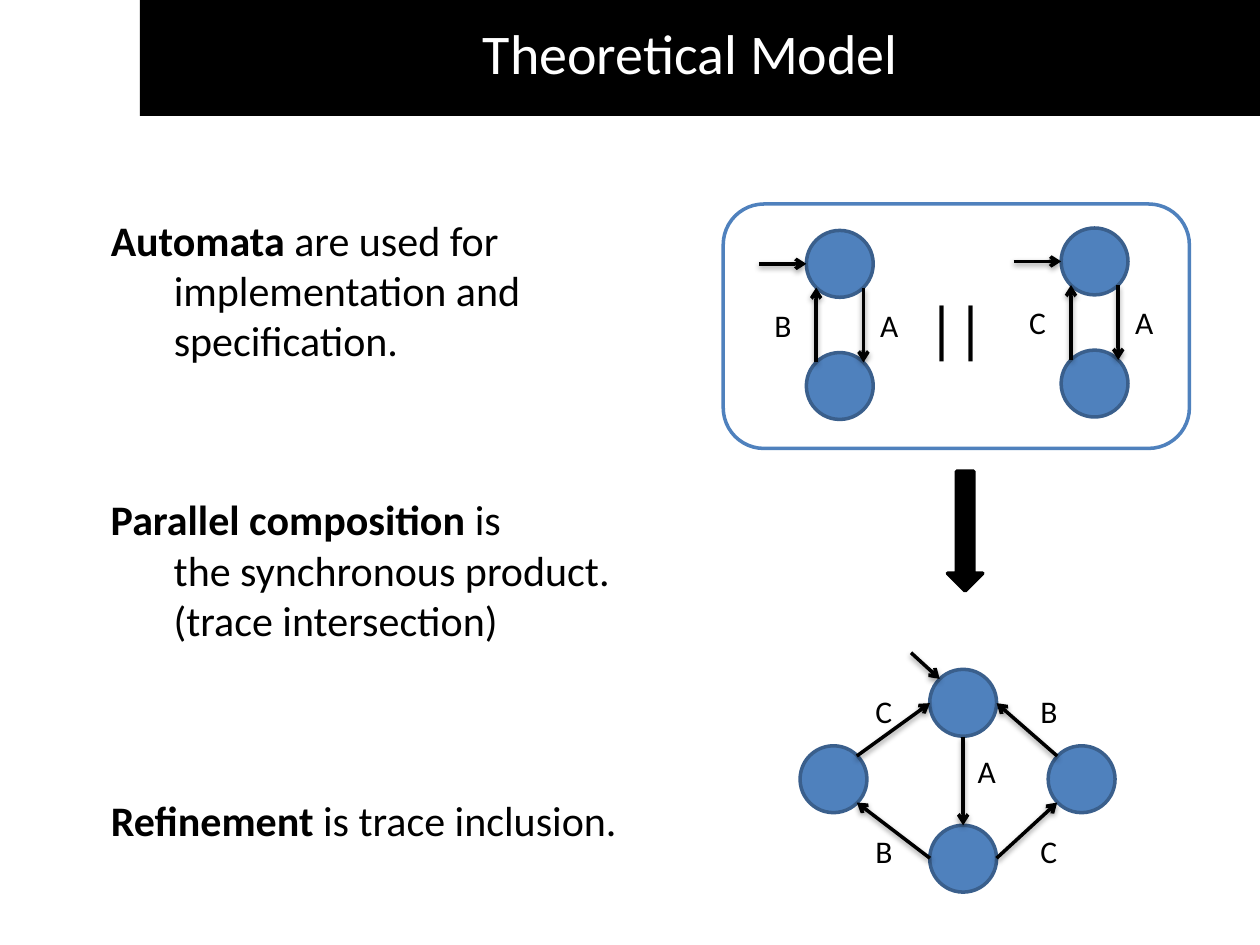
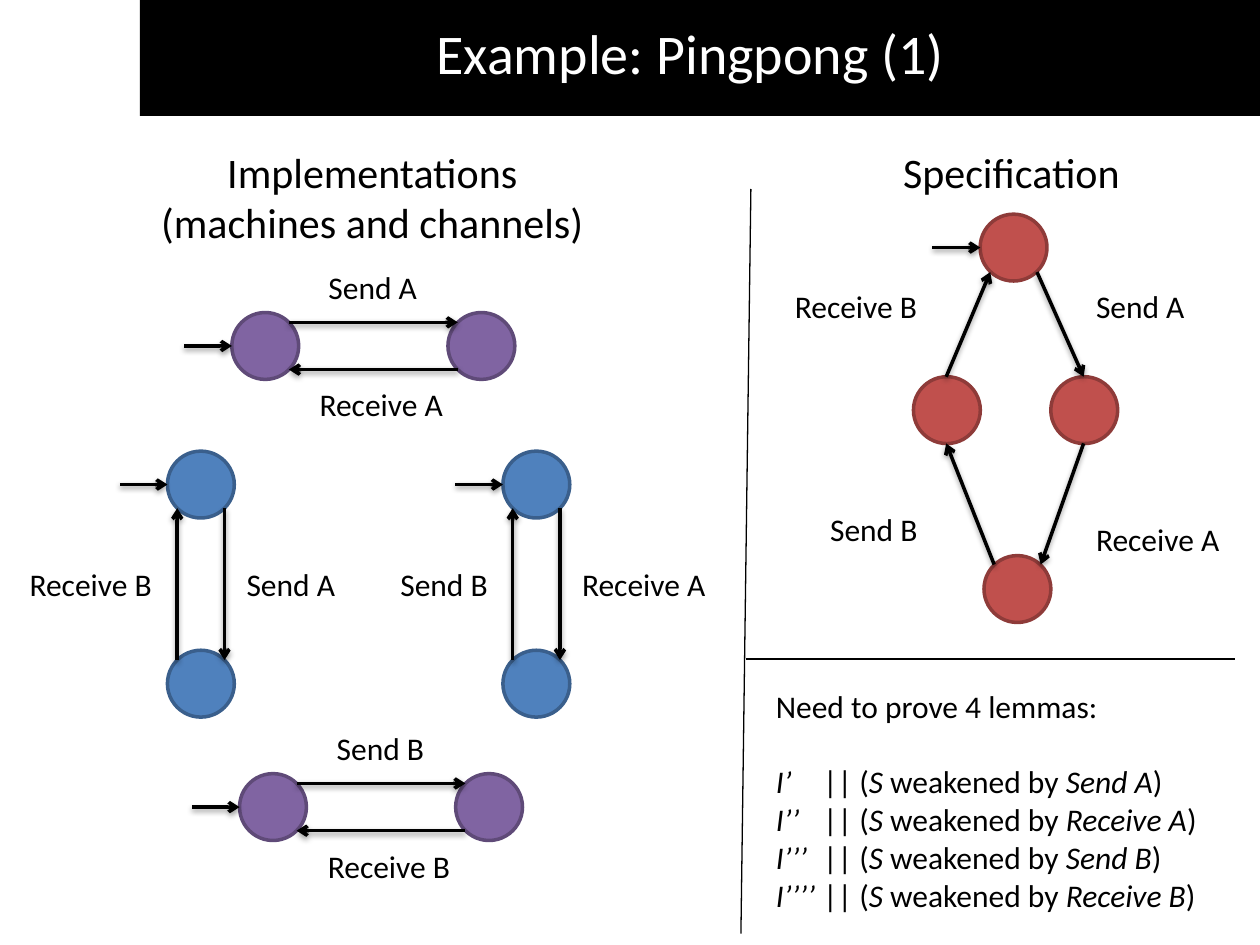
from lxml import etree
from pptx import Presentation
from pptx.dml.color import RGBColor
from pptx.enum.shapes import MSO_CONNECTOR, MSO_SHAPE
from pptx.enum.text import MSO_ANCHOR, MSO_AUTO_SIZE, PP_ALIGN
from pptx.oxml.ns import qn
from pptx.util import Pt

LINE = MSO_CONNECTOR.STRAIGHT
OVAL, RECT = MSO_SHAPE.OVAL, MSO_SHAPE.RECTANGLE
ROUND, DOWN = MSO_SHAPE.ROUNDED_RECTANGLE, MSO_SHAPE.DOWN_ARROW
LEFT, MID = PP_ALIGN.LEFT, PP_ALIGN.CENTER
GROW = MSO_AUTO_SIZE.SHAPE_TO_FIT_TEXT

# Shared look
FONT = "Calibri"
BLACK, WHITE = "000000", "FFFFFF"
BLUE = ("4F81BD", "3A5F8C")
VIOLET = ("8064A2", "5F4A78")
RED = ("C0504D", "8E3B39")
DIAM = 38.2        # state diameter
EDGE = 13.5        # offset of the diagonal point on a state's rim
HIGH = 29          # label height
WIDE = {"A": 25.2, "B": 24.5, "C": 24.5, "Send A": 65.5, "Send B": 64.8,
        "Receive A": 85.7, "Receive B": 85}
hue = RGBColor.from_string


def write(frame, lines, size, color=BLACK, align=LEFT, accent="bold"):
    """Fill a frame; parts between asterisks get the accent."""
    for row, line in enumerate(lines):
        para = frame.paragraphs[0] if row == 0 else frame.add_paragraph()
        para.alignment = align
        for num, part in enumerate(line.split("*")):
            if not part:
                continue
            run = para.add_run()
            run.text = part
            run.font.color.rgb = hue(color)
            look = {"name": FONT, "size": Pt(size), accent: num % 2 == 1}
            for key, val in look.items():
                setattr(run.font, key, val)


def box(slide, place, lines, size, wrap=False, **look):
    """Add a text box that grows with its text."""
    frame = slide.shapes.add_textbox(*map(Pt, place)).text_frame
    frame.word_wrap = wrap
    frame.auto_size = GROW
    write(frame, lines, size, **look)
    return frame


prs = Presentation()
prs.slide_width, prs.slide_height = Pt(720), Pt(540)

# Content of each slide
# Pairs: centre of first state, step to second, colours, two labels, label gap
# Rings: centres of the states, colours
# Links: start and end of an arrow
# Tags: label, left, top
# Blocks: place, lines, alignment
pages = [
    {"title": "Theoretical Model",
     "panels": [(ROUND, (413.3, 116.6, 266.4, 139.7), WHITE, BLUE[0], "||"),
                (DOWN, (541.4, 269.3, 20.2, 68.4), BLACK, BLACK, "")],
     "pairs": [(479.9, 150.8, 0, 69.8, BLUE, "A", "B", 16),
               (625.5, 149.4, 0, 69.8, BLUE, "A", "C", 16)],
     "ring": [(550.4, 401.6), (618.1, 445.3), (550.4, 490.7), (476.3, 445.3)],
     "hues": BLUE,
     "links": [(520.6, 373, 537, 388), (550.4, 421, 550.4, 471.6),
               (569.5, 490.4, 604.1, 458.6), (604.1, 432, 569.5, 401.8),
               (531.4, 490.4, 489.6, 458.6), (489.6, 432, 531.4, 401.8)],
     "tags": [("A", 551.5, 426.2), ("C", 493.2, 391.7), ("B", 587.5, 391.7),
              ("B", 493.2, 471.6), ("C", 587.5, 471.6)],
     "rules": [],
     "blocks": [((56.2, 118.8, 287.3, 94.3),
                 ["*Automata* are used for", "\timplementation and",
                  "\tspecification."], LEFT),
                ((56.2, 278.6, 338.4, 94.3),
                 ["*Parallel composition* is", "\tthe synchronous product.",
                  "\t(trace intersection)"], LEFT),
                ((56.2, 450.7, 303.8, 36),
                 ["*Refinement* is trace inclusion."], LEFT)]},
    {"title": "Example: Pingpong (1)",
     "panels": [],
     "pairs": [(114.8, 276.9, 0, 113.8, BLUE, "Send A", "Receive B", 19),
               (306.5, 276.9, 0, 113.8, BLUE, "Receive A", "Send B", 19),
               (151.6, 197.7, 123.5, 0, VIOLET, "Send A", "Receive A", 19),
               (156, 461.2, 123.5, 0, VIOLET, "Send B", "Receive B", 19)],
     "ring": [(579.2, 141.5), (619.6, 234.4), (581.4, 336.6), (541.1, 234.4)],
     "hues": RED,
     "links": [(532.8, 141.5, 560.2, 141.5), (592.6, 155.5, 619.2, 215.3),
               (619.2, 253.4, 594.7, 322.6), (568.1, 322.6, 540.7, 253.4),
               (540.7, 215.3, 565.9, 155.5)],
     "tags": [("Send A", 619.2, 160.6), ("Receive A", 619.2, 293.8),
              ("Send B", 467.3, 288), ("Receive B", 447.1, 160.6)],
     "rules": [(429.1, 108, 423.4, 533.5), (426.2, 376.6, 705.6, 376.6)],
     "blocks": [((83.5, 79.9, 258.5, 65.5),
                 ["Implementations", "(machines and channels)"], MID),
                ((509, 79.9, 139.7, 36), ["Specification"], LEFT)]},
]

for page in pages:
    slide = prs.slides.add_slide(prs.slide_layouts[6])
    states = [(x, y, page["hues"]) for x, y in page["ring"]]
    links, tags = list(page["links"]), list(page["tags"])

    # Two-state machines
    for x, y, dx, dy, hues, go, back, gap in page["pairs"]:
        states += [(x, y, hues), (x + dx, y + dy, hues)]
        links.append((x - DIAM / 2 - 27.2, y, x - DIAM / 2, y))
        if dy:
            top, end = y + EDGE, y + dy - EDGE
            links += [(x + EDGE, top, x + EDGE, end),
                      (x - EDGE, end, x - EDGE, top)]
            level = y + dy / 2 - HIGH / 2
            tags += [(go, x + gap, level), (back, x - 20 - WIDE[back], level)]
        else:
            near, far = x + EDGE, x + dx - EDGE
            links += [(near, y - EDGE, far, y - EDGE),
                      (far, y + EDGE, near, y + EDGE)]
            half = x + dx / 2
            tags += [(go, half - WIDE[go] / 2, y - 48),
                     (back, half + 5 - WIDE[back] / 2, y + 19)]

    # Panels, title band and states
    shapes = page["panels"] + [(RECT, (79.9, 0, 640.1, 66.2), BLACK, None, "")]
    shapes += [(OVAL, (x - DIAM / 2, y - DIAM / 2, DIAM, DIAM), *hues, "")
               for x, y, hues in states]
    for kind, place, fill, edge, words in shapes:
        shape = slide.shapes.add_shape(kind, *map(Pt, place))
        shape.shadow.inherit = False
        shape.fill.solid()
        shape.fill.fore_color.rgb = hue(fill)
        if edge:
            shape.line.color.rgb = hue(edge)
            shape.line.width = Pt(2)
        else:
            shape.line.fill.background()
        if words:
            shape.text_frame.vertical_anchor = MSO_ANCHOR.MIDDLE
            write(shape.text_frame, [words], 36, align=MID)

    # Arrows with a soft shadow, and plain dividing rules
    lines = [(ends, 2) for ends in links] + [(ends, 0.75) for ends in page["rules"]]
    for ends, width in lines:
        link = slide.shapes.add_connector(LINE, *map(Pt, ends))
        link.line.color.rgb = hue(BLACK)
        link.line.width = Pt(width)
        props = link._element.spPr
        effect = etree.SubElement(props, qn("a:effectLst"))
        if width == 2:
            etree.SubElement(props.find(qn("a:ln")), qn("a:tailEnd"), type="arrow")
            shade = etree.SubElement(effect, qn("a:outerShdw"), blurRad="40000",
                                     dist="20000", dir="5400000", rotWithShape="0")
            tint = etree.SubElement(shade, qn("a:srgbClr"), val=BLACK)
            etree.SubElement(tint, qn("a:alpha"), val="38000")

    # Title, labels and text blocks
    box(slide, (69.1, 7.2, 650.9, 46.1), [page["title"]], 32,
        wrap=True, color=WHITE, align=MID)
    for word, x, y in tags:
        box(slide, (x, y, WIDE[word], HIGH), [word], 18)
    for place, text, align in page["blocks"]:
        box(slide, place, text, 24, align=align)

# Lemmas on the last slide, with the bars lined up by a tab stop
moves = ["Send A", "Receive A", "Send B", "Receive B"]
lemmas = [f"*I{'’' * num}*\t|| (*S* weakened by *{move}*)"
          for num, move in enumerate(moves, 1)]
frame = box(slide, (436.3, 388.8, 262.1, 138.2),
            ["Need to prove 4 lemmas:"] + lemmas, 18, accent="italic")
frame.paragraphs[0].space_after = Pt(21.6)
for para in frame.paragraphs[1:]:
    stops = etree.SubElement(para._p.get_or_add_pPr(), qn("a:tabLst"))
    etree.SubElement(stops, qn("a:tab"), pos=str(Pt(27)), algn="l")

prs.save("out.pptx")
